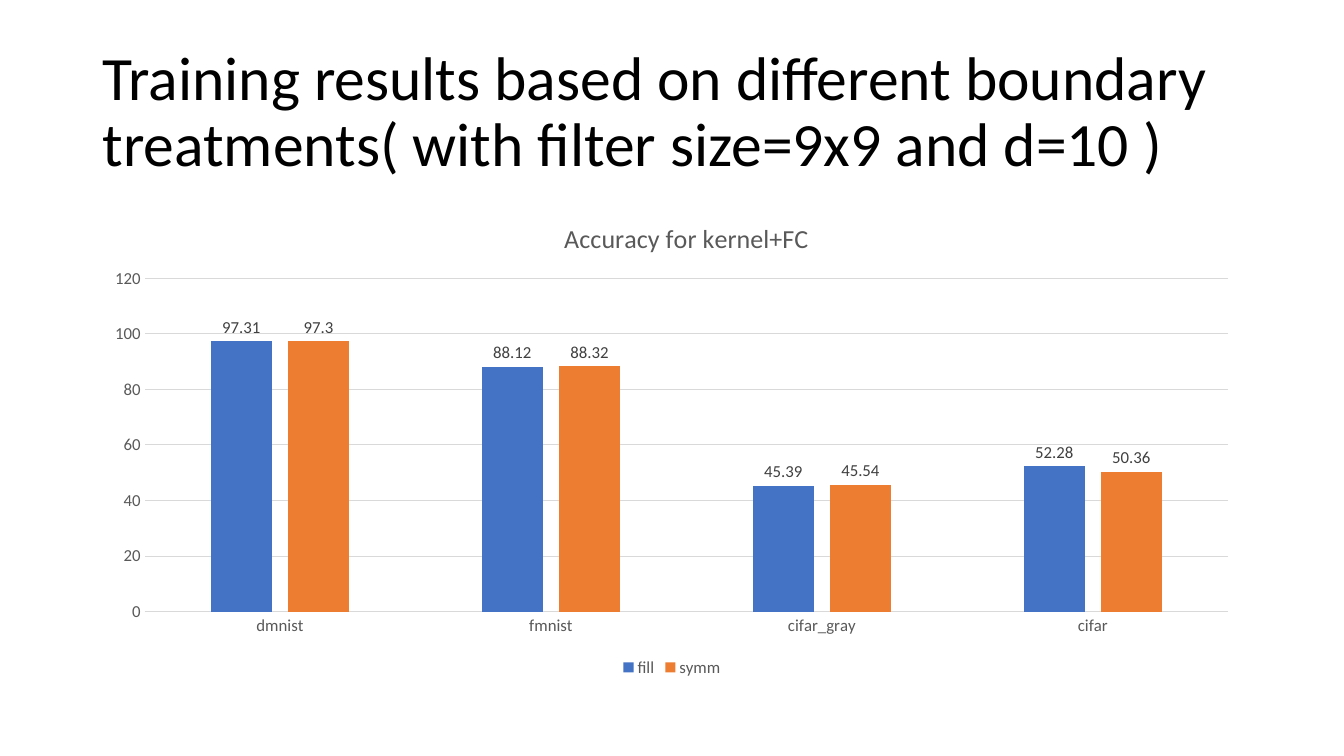
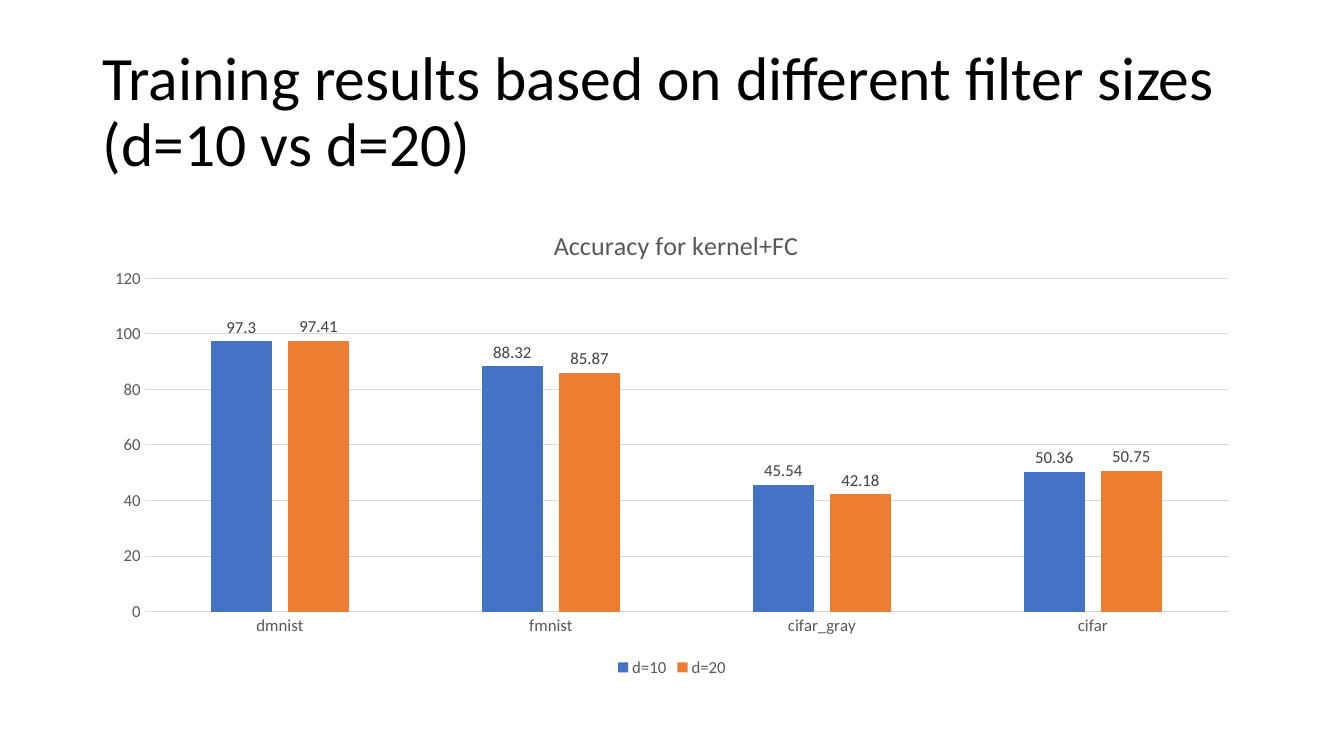
import lxml.etree
import pptx
import pptx.chart.data
import pptx.dml.color
import pptx.enum.chart
import pptx.enum.text
import pptx.oxml.ns
import pptx.util

Pt = pptx.util.Pt
qn = pptx.oxml.ns.qn

COLOURS = {"title": "000000", "label": "595959", "value": "404040", "grid": "D9D9D9"}
SERIES_COLOURS = ["4472C4", "ED7D31"]
LEFT, WIDTH = Pt(66), Pt(828)
CATEGORIES = ["dmnist", "fmnist", "cifar_gray", "cifar"]
PLOT_AREA = {"x": 0.045, "y": 0.16, "w": 0.935, "h": 0.695}

# heading, position of the chart title, series
SLIDES = [
    ("Training results based on different boundary treatments( with filter size=9x9 and d=10 )",
     {"x": 0.403, "y": 0.028},
     {"fill": [97.31, 88.12, 45.39, 52.28], "symm": [97.3, 88.32, 45.54, 50.36]}),
    ("Training results based on different filter sizes\v(d=10 vs d=20)",
     {"x": 0.394, "y": 0.043},
     {"d=10": [97.3, 88.32, 45.54, 50.36], "d=20": [97.41, 85.87, 42.18, 50.75]}),
]


def style_font(font, size, colour):
    for name, value in {"name": "Calibri", "size": Pt(size), "bold": False}.items():
        setattr(font, name, value)
    font.color.rgb = pptx.dml.color.RGBColor.from_string(COLOURS[colour])


def set_layout(parent, index, fractions, inner=False):
    """Place a chart part by fractions of the chart's size."""
    for old in parent.findall(qn("c:layout")):
        parent.remove(old)
    layout = lxml.etree.Element(qn("c:layout"))
    manual = lxml.etree.SubElement(layout, qn("c:manualLayout"))
    settings = {"layoutTarget": "inner"} if inner else {}
    settings.update({"xMode": "edge", "yMode": "edge"})
    settings.update(fractions)
    for tag, value in settings.items():
        lxml.etree.SubElement(manual, qn("c:" + tag)).set("val", str(value))
    parent.insert(index, layout)


deck = pptx.Presentation()
deck.slide_width, deck.slide_height = Pt(960), Pt(540)

for heading, title_place, series_values in SLIDES:
    page = deck.slides.add_slide(deck.slide_layouts[5])

    # Heading
    box = page.shapes.title
    box.left, box.top, box.width, box.height = LEFT, Pt(28.8), WIDTH, Pt(104.4)
    frame = box.text_frame
    frame.text = heading
    frame.auto_size = pptx.enum.text.MSO_AUTO_SIZE.NONE
    frame.vertical_anchor = pptx.enum.text.MSO_ANCHOR.MIDDLE
    para = frame.paragraphs[0]
    para.alignment = pptx.enum.text.PP_ALIGN.LEFT
    para.line_spacing = 0.9
    for span in para.runs:
        style_font(span.font, 44, "title")

    # Chart and its data
    data = pptx.chart.data.CategoryChartData()
    data.categories = CATEGORIES
    for name, values in series_values.items():
        data.add_series(name, values)
    chart = page.shapes.add_chart(
        pptx.enum.chart.XL_CHART_TYPE.COLUMN_CLUSTERED,
        LEFT, Pt(144), WIDTH, Pt(342.7), data).chart
    style_font(chart.font, 10, "title")

    # Chart title
    chart.has_title = True
    chart.chart_title.text_frame.text = "Accuracy for kernel+FC"
    style_font(chart.chart_title.text_frame.paragraphs[0].runs[0].font, 18.6, "label")

    # Legend
    chart.has_legend = True
    chart.legend.position = pptx.enum.chart.XL_LEGEND_POSITION.BOTTOM
    chart.legend.include_in_layout = False
    style_font(chart.legend.font, 12, "label")

    # Axes
    grid_colour = pptx.dml.color.RGBColor.from_string(COLOURS["grid"])
    for axis in (chart.category_axis, chart.value_axis):
        axis.major_tick_mark = pptx.enum.chart.XL_TICK_MARK.NONE
        axis.minor_tick_mark = pptx.enum.chart.XL_TICK_MARK.NONE
        style_font(axis.tick_labels.font, 12, "label")
    scale = {"minimum_scale": 0, "maximum_scale": 120, "major_unit": 20}
    for name, value in scale.items():
        setattr(chart.value_axis, name, value)
    chart.value_axis.format.line.fill.background()
    for line in (chart.category_axis.format.line,
                 chart.value_axis.major_gridlines.format.line):
        line.color.rgb = grid_colour
        line.width = Pt(0.75)

    # Columns and their labels
    plot = chart.plots[0]
    for name, value in {"gap_width": 219, "overlap": -27, "vary_by_categories": False}.items():
        setattr(plot, name, value)
    for series, colour in zip(plot.series, SERIES_COLOURS):
        series.format.fill.solid()
        series.format.fill.fore_color.rgb = pptx.dml.color.RGBColor.from_string(colour)
        labels = series.data_labels
        labels.show_value = True
        labels.position = pptx.enum.chart.XL_LABEL_POSITION.OUTSIDE_END
        style_font(labels.font, 12, "value")

    # Placement inside the chart
    chart_root = chart.element if hasattr(chart, "element") else chart._chartSpace
    chart_node = chart_root.find(qn("c:chart"))
    set_layout(chart_node.find(qn("c:title")), 1, title_place)
    set_layout(chart_node.find(qn("c:plotArea")), 0, PLOT_AREA, inner=True)

deck.save("out.pptx")
